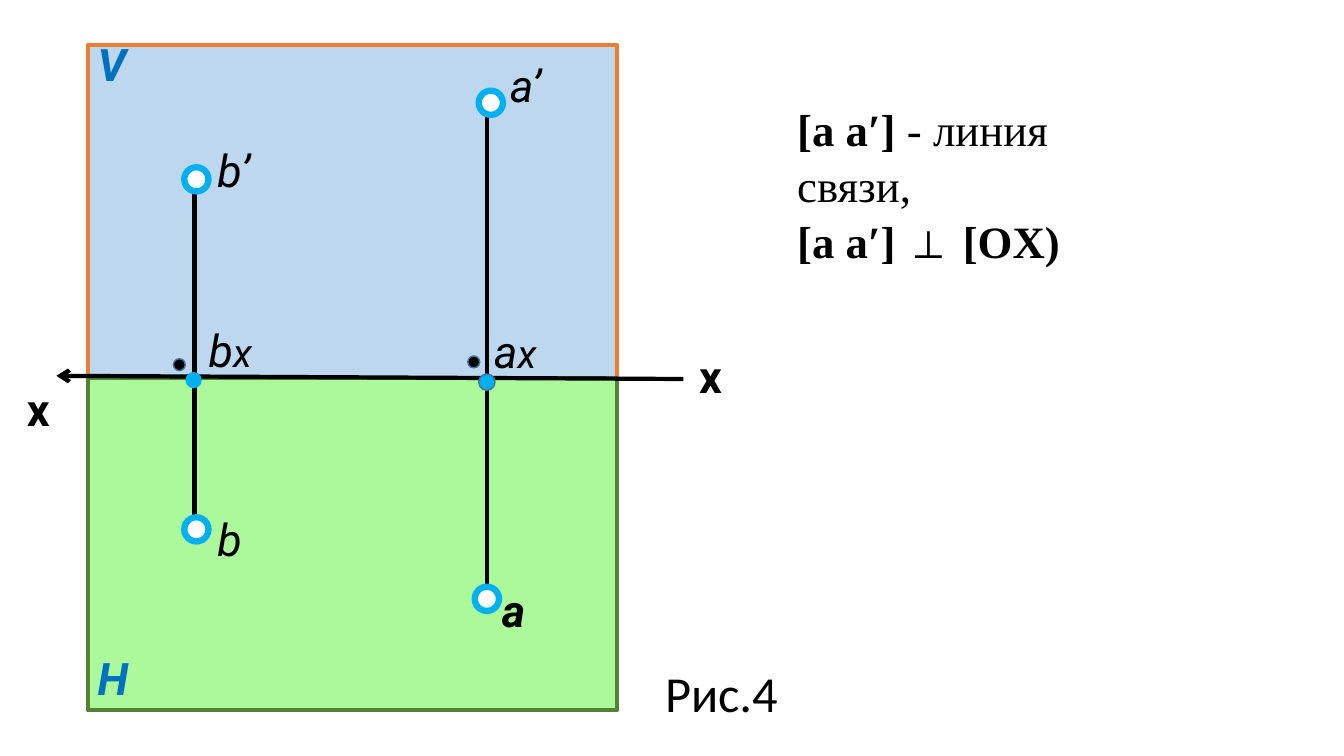
import pptx
import pptx.dml.color
import pptx.enum.shapes
import pptx.enum.text
import pptx.util
from dataclasses import dataclass
from lxml import etree

Cm = pptx.util.Cm
Pt = pptx.util.Pt
SHAPES = pptx.enum.shapes.MSO_SHAPE

BLACK = "000000"
WHITE = "FFFFFF"
SKY = "00B0F0"
BLUE = "0070C0"
DOT_EDGE = "43739E"


@dataclass
class Plane:
    top: float
    fill: str
    edge: str


@dataclass
class Segment:
    start: tuple[float, float]
    end: tuple[float, float]
    arrow: bool = False


@dataclass
class Point:
    x: float
    y: float
    diameter: float
    fill: str
    edge: str | None = None
    edge_width: float = 1


@dataclass
class Run:
    text: str
    size: float = 32
    bold: bool = False
    italic: bool = False
    color: str = BLACK
    font: str = "Roboto"


@dataclass
class Label:
    left: float
    top: float
    width: float
    height: float
    paragraphs: list[list[Run]]
    wrap: bool = True
    inset: bool = True
    spacing: float | None = None


def rgb(value: str) -> pptx.dml.color.RGBColor:
    return pptx.dml.color.RGBColor.from_string(value)


def draw_shape(slide, kind, left: float, top: float, width: float, height: float,
               fill: str, edge: str | None, edge_width: float) -> None:
    shape = slide.shapes.add_shape(kind, Cm(left), Cm(top), Cm(width), Cm(height))
    shape.shadow.inherit = False
    shape.fill.solid()
    shape.fill.fore_color.rgb = rgb(fill)
    if edge is None:
        shape.line.fill.background()
    else:
        shape.line.color.rgb = rgb(edge)
        shape.line.width = Pt(edge_width)


def draw_plane(slide, plane: Plane) -> None:
    draw_shape(slide, SHAPES.RECTANGLE, PLANE_LEFT, plane.top, PLANE_WIDTH, PLANE_HEIGHT,
               plane.fill, plane.edge, 3)


def draw_point(slide, point: Point) -> None:
    radius = point.diameter / 2
    draw_shape(slide, SHAPES.OVAL, point.x - radius, point.y - radius,
               point.diameter, point.diameter, point.fill, point.edge, point.edge_width)


def draw_segment(slide, segment: Segment) -> None:
    line = slide.shapes.add_connector(
        pptx.enum.shapes.MSO_CONNECTOR.STRAIGHT,
        *(Cm(value) for value in segment.start + segment.end))
    line.line.color.rgb = rgb(BLACK)
    line.line.width = Pt(3)
    if segment.arrow:
        outline = line.line._get_or_add_ln()
        etree.SubElement(outline, pptx.oxml.ns.qn("a:tailEnd"), type="arrow")
    etree.SubElement(line._element.spPr, pptx.oxml.ns.qn("a:effectLst"))


def draw_label(slide, label: Label) -> None:
    box = slide.shapes.add_textbox(Cm(label.left), Cm(label.top), Cm(label.width), Cm(label.height))
    frame = box.text_frame
    frame.word_wrap = label.wrap
    frame.auto_size = pptx.enum.text.MSO_AUTO_SIZE.SHAPE_TO_FIT_TEXT
    if not label.inset:
        frame.margin_left = frame.margin_right = frame.margin_top = frame.margin_bottom = 0
    for index, runs in enumerate(label.paragraphs):
        paragraph = frame.add_paragraph() if index else frame.paragraphs[0]
        if label.spacing:
            paragraph.line_spacing = label.spacing
        for part in runs:
            run = paragraph.add_run()
            run.text = part.text
            run.font.name = part.font
            run.font.size = Pt(part.size)
            run.font.bold = part.bold
            run.font.italic = part.italic
            run.font.color.rgb = rgb(part.color)


def ring(x: float, y: float) -> Point:
    return Point(x, y, 0.61, WHITE, SKY, 4.5)


def name(text: str, bold: bool = False, color: str = BLACK) -> list[list[Run]]:
    return [[Run(text, bold=bold, italic=True, color=color)]]


def foot(letter: str) -> list[list[Run]]:
    return [[Run(letter, italic=True), Run("x", 28, italic=True)]]


def note(text: str, bold: bool = False) -> Run:
    return Run(text, bold=bold, font="Times New Roman")


# Projection planes, one directly below the other
PLANE_LEFT, PLANE_WIDTH, PLANE_HEIGHT = 2.21, 13.34, 8.38
VERTICAL_TOP = 1.14
PLANES = [
    Plane(VERTICAL_TOP, "BDD7EE", "ED7D31"),
    Plane(VERTICAL_TOP + PLANE_HEIGHT, "ABF99B", "548235"),
]

# Connection lines and the axis
SEGMENTS = [
    Segment((12.27, 14.78), (12.27, 2.59)),
    Segment((17.22, 9.55), (1.42, 9.47), arrow=True),
    Segment((4.9, 13.13), (4.9, 4.52)),
]

# Projections, their feet on the axis and the right-angle dots
POINTS = [
    ring(12.27, 15.09),
    ring(12.37, 2.59),
    ring(4.95, 4.52),
    ring(4.95, 13.34),
    Point(12.27, 9.63, 0.41, SKY, DOT_EDGE),
    Point(4.88, 9.58, 0.41, SKY),
    Point(11.94, 9.12, 0.3, BLACK, DOT_EDGE),
    Point(4.52, 9.19, 0.3, BLACK, DOT_EDGE),
]

AXIS_NAME = [[Run("x", bold=True)]]
LABELS = [
    Label(2.21, 0.79, 1.19, 1.63, name("V", True, BLUE), wrap=False),
    Label(2.21, 16.26, 1.12, 1.63, name("H", True, BLUE), wrap=False),
    Label(12.45, 8.15, 1.12, 1.37, foot("a"), inset=False),
    Label(5.26, 8.13, 1.27, 1.37, foot("b"), inset=False),
    Label(0.43, 9.5, 1.04, 1.63, AXIS_NAME, wrap=False),
    Label(17.37, 8.66, 1.04, 1.63, AXIS_NAME, wrap=False),
    Label(12.4, 14.55, 1.02, 1.63, name("a", True)),
    Label(5.23, 12.78, 1.27, 1.63, name("b")),
    Label(12.6, 1.32, 1.5, 1.63, name("a’")),
    Label(5.23, 3.48, 1.68, 1.63, name("b’")),
    Label(16.51, 16.56, 3.38, 1.8, [[Run("Рис.4", 36, font="Calibri")]], wrap=False),
    Label(19.84, 2.36, 8.92, 4.37, [
        [note("[a a′]", True), note(" - линия связи,")],
        [note("[a a′] ⊥ [OX)", True)],
    ], spacing=1.05),
]


def main() -> None:
    deck = pptx.Presentation()
    deck.slide_width, deck.slide_height = Cm(33.87), Cm(19.05)
    slide = deck.slides.add_slide(deck.slide_layouts[6])
    for plane in PLANES:
        draw_plane(slide, plane)
    for segment in SEGMENTS:
        draw_segment(slide, segment)
    for point in POINTS:
        draw_point(slide, point)
    for label in LABELS:
        draw_label(slide, label)
    deck.save("out.pptx")


if __name__ == "__main__":
    main()
